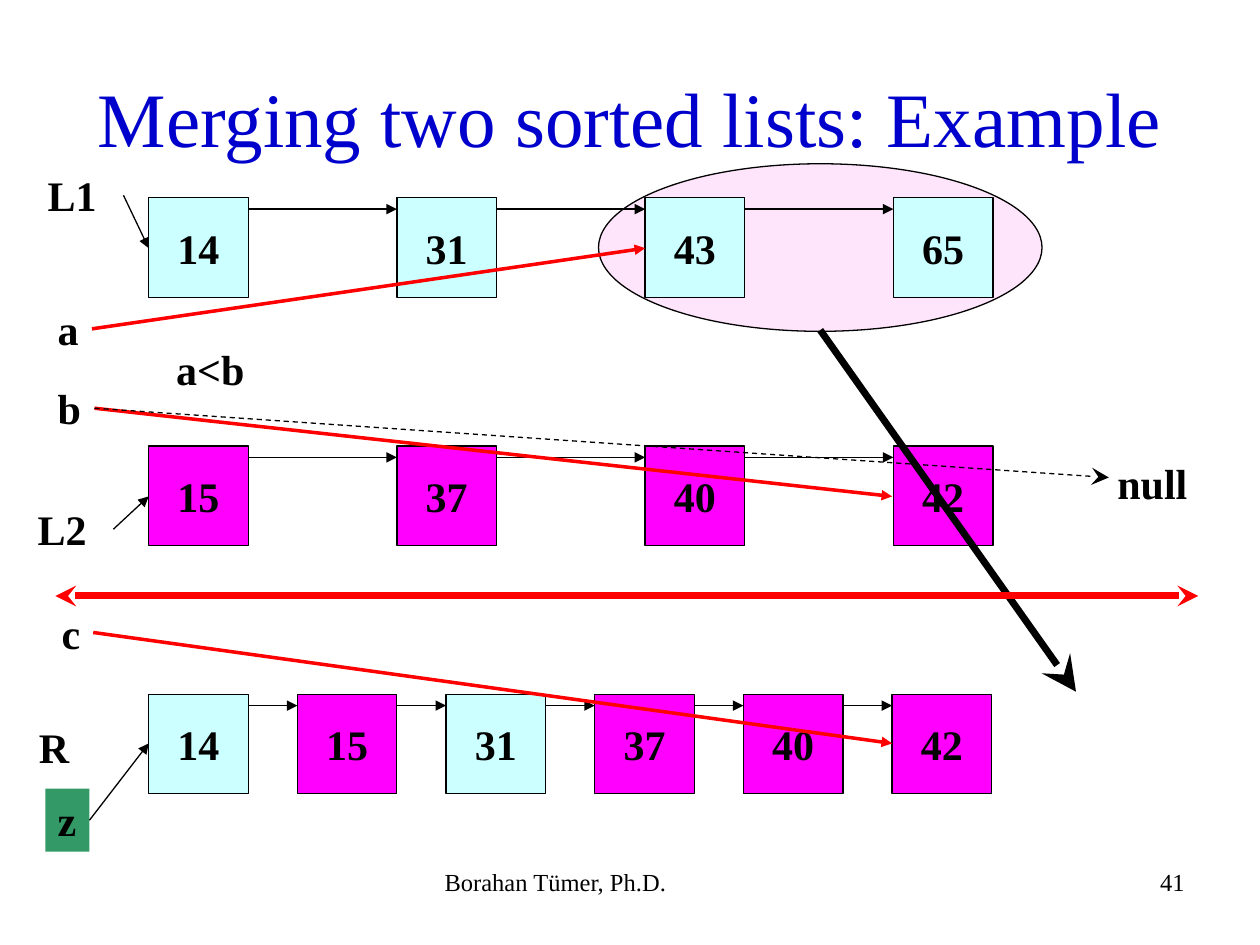
from lxml.etree import SubElement
from pptx import Presentation
from pptx.dml.color import RGBColor
from pptx.enum.dml import MSO_LINE
from pptx.enum.shapes import MSO_CONNECTOR, MSO_SHAPE
from pptx.enum.text import MSO_ANCHOR, MSO_AUTO_SIZE, PP_ALIGN
from pptx.oxml.ns import qn
from pptx.util import Inches, Pt

BLACK = RGBColor(0x00, 0x00, 0x00)
BLUE = RGBColor(0x00, 0x00, 0xCC)
RED = RGBColor(0xFF, 0x00, 0x00)
CYAN = RGBColor(0xCC, 0xFF, 0xFF)
MAGENTA = RGBColor(0xFF, 0x00, 0xFF)
PINK = RGBColor(0xFF, 0xE5, 0xFB)
GREEN = RGBColor(0x33, 0x99, 0x66)
FONT = "Times New Roman"
NODE = 0.79


def write(shape, wording, size=24, color=BLACK, bold=True, align=PP_ALIGN.LEFT,
          anchor=MSO_ANCHOR.TOP, wrap=False):
    """Set and format the single paragraph of a shape."""
    frame = shape.text_frame
    frame.text = wording
    frame.word_wrap = wrap
    frame.vertical_anchor = anchor
    paragraph = frame.paragraphs[0]
    paragraph.alignment = align
    font = paragraph.runs[0].font
    font.name, font.size, font.bold = FONT, Pt(size), bold
    font.color.rgb = color


def add_text(slide, box, wording, **style):
    """Add a text box in the given box and return it."""
    label = slide.shapes.add_textbox(*map(Inches, box))
    write(label, wording, **style)
    return label


def add_outlined(slide, preset, box, fill):
    """Add a filled preset shape with a thin black outline."""
    shape = slide.shapes.add_shape(preset, *map(Inches, box))
    shape.shadow.inherit = False
    shape.fill.solid()
    shape.fill.fore_color.rgb = fill
    shape.line.color.rgb = BLACK
    shape.line.width = Pt(0.75)
    return shape


def add_arrow(slide, start, end, color=BLACK, width=0.75, tip="triangle",
              tip_size="med", dashed=False, both_ends=False):
    """Draw a straight arrow between two points."""
    arrow = slide.shapes.add_connector(
        MSO_CONNECTOR.STRAIGHT, *map(Inches, (*start, *end)))
    arrow.line.color.rgb = color
    arrow.line.width = Pt(width)
    if dashed:
        arrow.line.dash_style = MSO_LINE.DASH
    outline = arrow.line._get_or_add_ln()
    for tag in ("a:headEnd", "a:tailEnd") if both_ends else ("a:tailEnd",):
        SubElement(outline, qn(tag), type=tip, w=tip_size, len=tip_size)
    SubElement(arrow._element.spPr, qn("a:effectLst"))


def add_linked_list(slide, left, top, pitch, nodes):
    """Draw a row of nodes, each linked to the next."""
    for index, (value, fill) in enumerate(nodes):
        x = left + index * pitch
        node = add_outlined(slide, MSO_SHAPE.RECTANGLE, (x, top, NODE, NODE), fill)
        write(node, str(value), align=PP_ALIGN.CENTER, anchor=MSO_ANCHOR.MIDDLE)
    for index in range(len(nodes) - 1):
        x = left + index * pitch
        add_arrow(slide, (x + NODE, top + 0.09), (x + pitch, top + 0.09))


def add_lists(slide, left, top):
    """Place the two source lists and the merged list."""
    first = [(value, CYAN) for value in (14, 31, 43, 65)]
    second = [(value, MAGENTA) for value in (15, 37, 40, 42)]
    merged = sorted(first[:2] + second)
    for row, (pitch, nodes) in enumerate(
            [(1.97, first), (1.97, second), (1.18, merged)]):
        add_linked_list(slide, left, top + row * 1.97, pitch, nodes)


def add_label(slide, box, wording, wrap=False):
    """Add a bold label whose box grows with its text."""
    label = add_text(slide, box, wording, wrap=wrap)
    label.text_frame.auto_size = MSO_AUTO_SIZE.SHAPE_TO_FIT_TEXT
    return label


def add_labels(slide, left, top):
    """Place the names of the lists, the pointers and the sentinel."""
    for x, y, width, wording, wrap in [
            (0.08, 0, 0.7, "L1", True), (0, 2.65, 0.7, "L2", True),
            (0.01, 4.38, 0.57, "R", True), (0.16, 1.06, 0.36, "a", False),
            (0.16, 1.69, 0.38, "b", False), (0.19, 3.47, 0.35, "c", False),
            (1.1, 1.38, 0.74, "a<b", False), (8.57, 2.28, 0.77, "null", False)]:
        add_label(slide, (left + x, top + y, width, 0.5), wording, wrap)
    sentinel = add_label(slide, (left + 0.16, top + 4.96, 0.35, 0.5), "z")
    sentinel.fill.solid()
    sentinel.fill.fore_color.rgb = GREEN


def add_pointers(slide):
    """Draw the pointers to the nodes, the moves and the divider."""
    for start, end in [((0.75, 3.24), (7.08, 3.94)),
                       ((0.74, 5.02), (7.08, 5.9)),
                       ((0.73, 2.61), (5.12, 1.97))]:
        add_arrow(slide, start, end, RED, 2)
    for start, end in [((0.98, 1.55), (1.18, 1.97)),
                       ((0.9, 4.2), (1.18, 3.94)),
                       ((0.71, 6.51), (1.18, 5.9))]:
        add_arrow(slide, start, end)
    add_arrow(slide, (0.75, 3.24), (8.8, 3.79), tip="stealth", tip_size="lg",
              dashed=True)
    add_arrow(slide, (6.51, 2.62), (8.54, 5.49), width=4, tip="stealth",
              tip_size="lg")
    add_arrow(slide, (0.44, 4.73), (9.51, 4.73), RED, 4, "stealth", both_ends=True)


def add_footer(slide, top, height):
    """Place the author and the slide number."""
    add_text(slide, (3.43, top, 3.17, height), "Borahan Tümer, Ph.D.",
             size=14, bold=False, wrap=True)
    add_text(slide, (7.17, top, 2.33, height), "41",
             size=14, bold=False, align=PP_ALIGN.RIGHT, wrap=True)


def main():
    """Build and save the slide."""
    presentation = Presentation()
    presentation.slide_width, presentation.slide_height = Inches(10), Inches(7.5)
    slide = presentation.slides.add_slide(presentation.slide_layouts[6])
    add_outlined(slide, MSO_SHAPE.OVAL, (4.75, 1.3, 3.52, 1.33), PINK)
    add_text(slide, (0.5, 0.3, 9, 1.25), "Merging two sorted lists: Example",
             size=44, color=BLUE, bold=False, align=PP_ALIGN.CENTER,
             anchor=MSO_ANCHOR.MIDDLE, wrap=True)
    add_lists(slide, 1.18, 1.57)
    add_labels(slide, 0.2, 1.3)
    add_pointers(slide)
    add_footer(slide, 6.83, 0.52)
    presentation.save("out.pptx")


if __name__ == "__main__":
    main()
